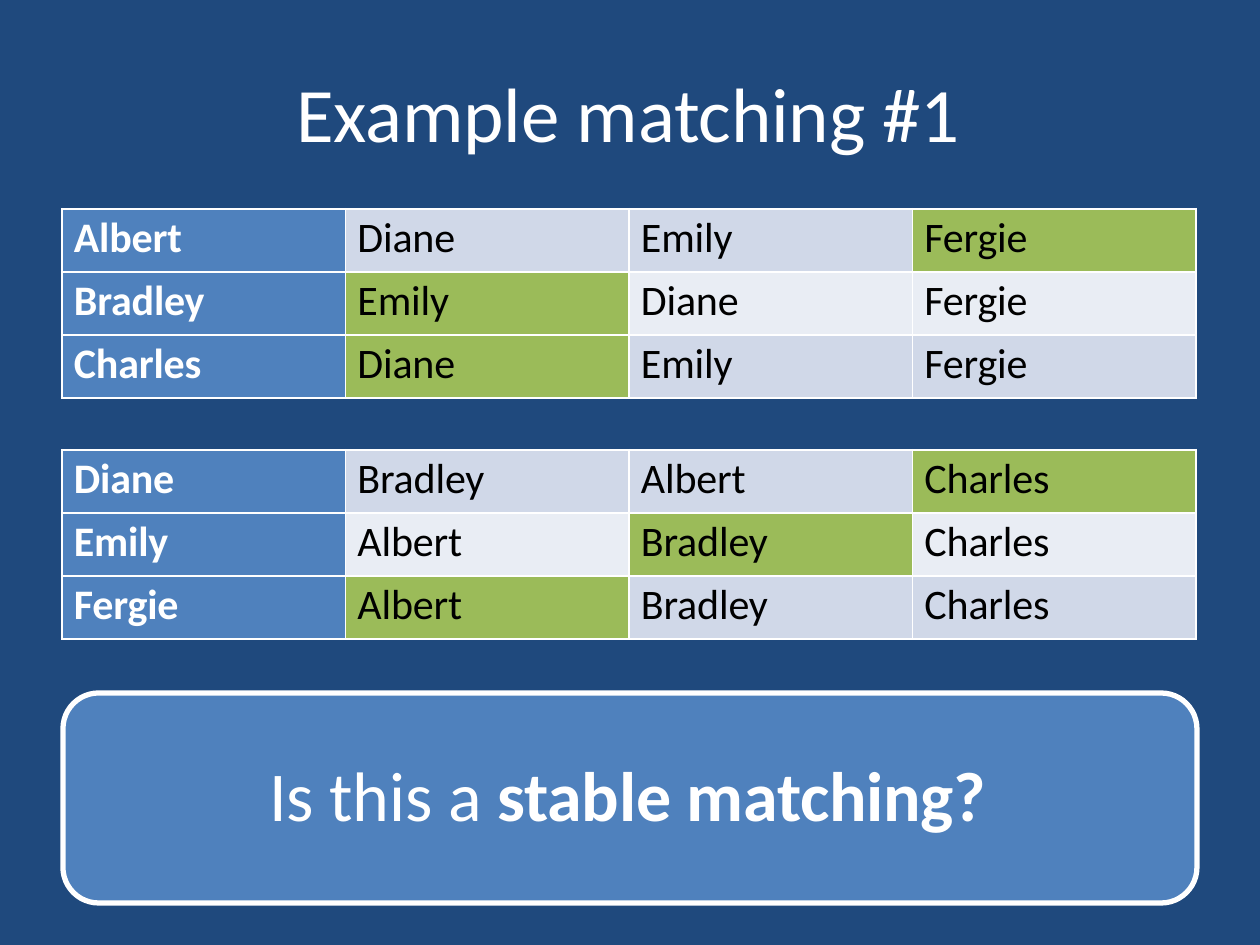
import pptx
import pptx.util
import pptx.dml.color
import pptx.enum.shapes
import pptx.enum.text
import pptx.oxml
import pptx.oxml.ns

COLORS = {
    "back": "1F497D", "head": "4F81BD", "match": "9BBB59", "white": "FFFFFF",
    "text": "000000", "bands": ("D0D8E8", "E9EDF4"),
}
FONT = "Calibri"
TITLE = "Example matching #1"
QUESTION = [("Is this a ", False), ("stable matching?", True)]
PREFERENCES = [
    {
        "top": 209,
        "rows": [("Albert", "Diane", "Emily", "Fergie"),
                 ("Bradley", "Emily", "Diane", "Fergie"),
                 ("Charles", "Diane", "Emily", "Fergie")],
        "matches": (3, 1, 1),
    },
    {
        "top": 450,
        "rows": [("Diane", "Bradley", "Albert", "Charles"),
                 ("Emily", "Albert", "Bradley", "Charles"),
                 ("Fergie", "Albert", "Bradley", "Charles")],
        "matches": (3, 2, 1),
    },
]
SLIDE_W, SLIDE_H = 1260, 945
LEFT, WIDTH, ROW = 62, 1134, 63


def px(n):
    return pptx.util.Emu(round(n * 914400 / 126))


def rgb(value):
    return pptx.dml.color.RGBColor.from_string(value)


def style(r, size, color, bold=False):
    r.font.name = FONT
    r.font.size = pptx.util.Pt(size)
    r.font.bold = bold
    r.font.color.rgb = rgb(color)
    r._r.get_or_add_rPr().set("spc", "-10")


def add_filled(slide, kind, left, top, width, height, color):
    sp = slide.shapes.add_shape(kind, px(left), px(top), px(width), px(height))
    sp.shadow.inherit = False
    sp.fill.solid()
    sp.fill.fore_color.rgb = rgb(color)
    return sp


def add_backdrop(slide):
    sp = add_filled(slide, pptx.enum.shapes.MSO_SHAPE.RECTANGLE,
                    0, 0, SLIDE_W, SLIDE_H, COLORS["back"])
    sp.line.fill.background()
    slide.shapes._spTree.insert(2, sp._element)


def add_title(slide):
    title = slide.shapes.title
    title.left, title.top, title.width, title.height = px(295), px(64), px(666), px(96)
    tf = title.text_frame
    tf.text = TITLE
    tf.margin_left = tf.margin_top = tf.margin_right = tf.margin_bottom = 0
    tf.word_wrap = False
    style(tf.paragraphs[0].runs[0], 44, COLORS["white"])


def set_borders(cell, widths):
    tc_pr = cell._tc.get_or_add_tcPr()
    for i, (side, width) in enumerate(widths.items()):
        tc_pr.insert(i, pptx.oxml.parse_xml(
            f'<a:ln{side} {pptx.oxml.ns.nsdecls("a")} w="{pptx.util.Pt(width)}">'
            f'<a:solidFill><a:srgbClr val="{COLORS["white"]}"/></a:solidFill></a:ln{side}>'))


def add_preferences(slide, top, rows, matches):
    cols = len(rows[0])
    table = slide.shapes.add_table(
        len(rows), cols, px(LEFT), px(top), px(WIDTH), px(ROW * len(rows))).table
    table.first_row = table.horz_banding = False
    for column in table.columns:
        column.width = px(WIDTH / cols)
    for i, names in enumerate(rows):
        table.rows[i].height = px(ROW)
        for j, name in enumerate(names):
            cell = table.cell(i, j)
            cell.margin_left, cell.margin_top = px(12), px(4)
            cell.margin_right = cell.margin_bottom = 0
            head = j == 0
            if head:
                fill = COLORS["head"]
            elif j == matches[i]:
                fill = COLORS["match"]
            else:
                fill = COLORS["bands"][i % 2]
            cell.fill.solid()
            cell.fill.fore_color.rgb = rgb(fill)
            set_borders(cell, {"L": 1.5 if head else 1, "R": 1, "T": 1.5, "B": 1.5})
            p = cell.text_frame.paragraphs[0]
            p.text = name
            p.space_before = pptx.util.Pt(2)
            style(p.runs[0], 24, COLORS["white" if head else "text"], head)


def add_question(slide):
    sp = add_filled(slide, pptx.enum.shapes.MSO_SHAPE.ROUNDED_RECTANGLE,
                    63, 693, 1134, 210, COLORS["head"])
    sp.adjustments[0] = 0.17
    sp.line.color.rgb = rgb(COLORS["white"])
    sp.line.width = pptx.util.Pt(3)
    tf = sp.text_frame
    tf.vertical_anchor = pptx.enum.text.MSO_ANCHOR.MIDDLE
    tf.margin_left = tf.margin_top = 0
    tf.margin_right, tf.margin_bottom = px(4), px(8)
    p = tf.paragraphs[0]
    p.alignment = pptx.enum.text.PP_ALIGN.CENTER
    for text, bold in QUESTION:
        r = p.add_run()
        r.text = text
        style(r, 40, COLORS["white"], bold)


def main():
    prs = pptx.Presentation()
    prs.slide_width, prs.slide_height = px(SLIDE_W), px(SLIDE_H)
    slide = prs.slides.add_slide(prs.slide_layouts[5])
    add_backdrop(slide)
    add_title(slide)
    for group in PREFERENCES:
        add_preferences(slide, **group)
    add_question(slide)
    prs.save("out.pptx")


if __name__ == "__main__":
    main()
